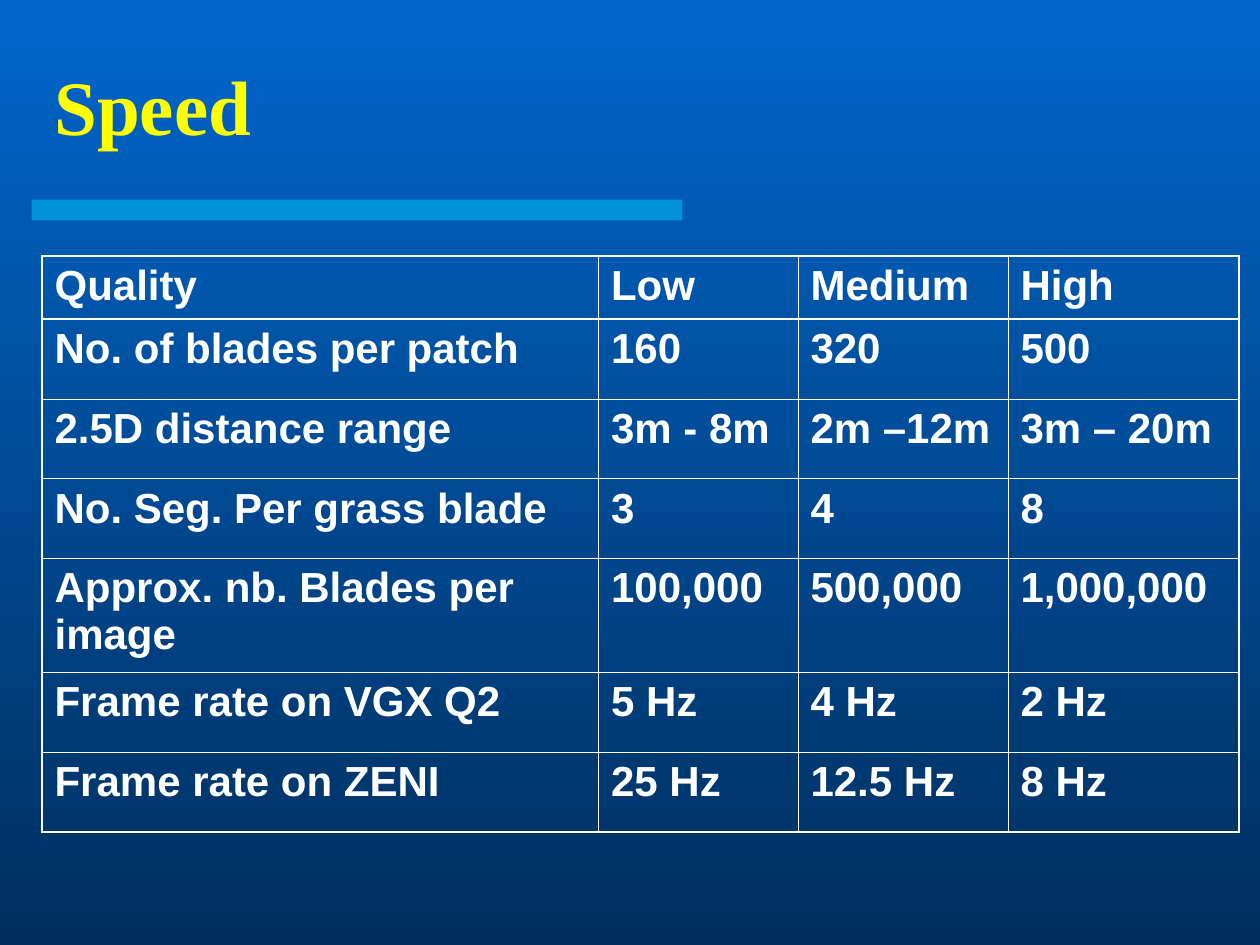
from dataclasses import dataclass

from lxml import etree
from pptx import Presentation
from pptx.dml.color import RGBColor
from pptx.enum.shapes import MSO_SHAPE
from pptx.enum.text import MSO_ANCHOR
from pptx.oxml.ns import qn
from pptx.util import Pt

RECT = MSO_SHAPE.RECTANGLE
MIDDLE = MSO_ANCHOR.MIDDLE
WHITE, YELLOW, CYAN = "FFFFFF", "FFFF00", "00CCFF"
BG_TOP, BG_BOTTOM = "0066CC", "002F5E"
THIN, THICK = 0.45, 1.08
COL_WIDTHS = (318, 114, 120, 132)


@dataclass
class Row:
    label: str
    low: str
    medium: str
    high: str
    height: float = 45.6

    def texts(self) -> tuple[str, ...]:
        return self.label, self.low, self.medium, self.high


ROWS = [
    Row("Quality", "Low", "Medium", "High", 36),
    Row("No. of blades per patch", "160", "320", "500"),
    Row("2.5D distance range", "3m - 8m", "2m –12m", "3m – 20m"),
    Row("No. Seg. Per grass blade", "3", "4", "8"),
    Row("Approx. nb. Blades per image", "100,000", "500,000", "1,000,000", 65),
    Row("Frame rate on VGX Q2", "5 Hz", "4 Hz", "2 Hz"),
    Row("Frame rate on ZENI", "25 Hz", "12.5 Hz", "8 Hz"),
]


def rgb(value: str) -> RGBColor:
    return RGBColor.from_string(value)


def write(tf, text: str, *, font="Arial", size=24, color=WHITE, before=0) -> None:
    p = tf.paragraphs[0]
    p.space_before = Pt(before)
    r = p.add_run()
    r.text = text
    r.font.name = font
    r.font.size = Pt(size)
    r.font.bold = True
    r.font.color.rgb = rgb(color)


def add_border(cell, side: str, width: float) -> None:
    ln = etree.SubElement(cell._tc.get_or_add_tcPr(), qn(f"a:ln{side}"), w=str(Pt(width)))
    fill = etree.SubElement(ln, qn("a:solidFill"))
    etree.SubElement(fill, qn("a:srgbClr"), val=WHITE)


def add_background(s) -> None:
    fill = s.background.fill
    fill.gradient()
    fill.gradient_angle = 270
    for stop, color in zip(fill.gradient_stops, (BG_TOP, BG_BOTTOM)):
        stop.color.rgb = rgb(color)


def add_bar(s) -> None:
    sp = s.shapes.add_shape(RECT, Pt(18), Pt(114), Pt(372), Pt(12))
    sp.shadow.inherit = False
    sp.line.fill.background()
    sp.fill.solid()
    sp.fill.fore_color.rgb = rgb(CYAN)
    color = sp._element.spPr.find(f"{qn('a:solidFill')}/{qn('a:srgbClr')}")
    etree.SubElement(color, qn("a:alpha"), val="50000")


def add_title(s) -> None:
    tf = s.shapes.add_textbox(Pt(24), Pt(30), Pt(612), Pt(60)).text_frame
    tf.word_wrap = True
    tf.vertical_anchor = MIDDLE
    write(tf, "Speed", font="Times New Roman", size=44, color=YELLOW)


def add_speed_table(s, rows: list[Row]) -> None:
    height = sum(row.height for row in rows)
    frame = s.shapes.add_table(len(rows), len(COL_WIDTHS), Pt(24), Pt(146.4),
                               Pt(sum(COL_WIDTHS)), Pt(height))
    table = frame.table
    table.first_row = table.horz_banding = False
    for column, width in zip(table.columns, COL_WIDTHS):
        column.width = Pt(width)
    last_row, last_col = len(rows) - 1, len(COL_WIDTHS) - 1
    for i, row in enumerate(rows):
        table.rows[i].height = Pt(row.height)
        for j, text in enumerate(row.texts()):
            cell = table.cell(i, j)
            thick = {"L": j == 0, "R": j == last_col, "T": i <= 1, "B": i in (0, last_row)}
            for side, is_thick in thick.items():
                add_border(cell, side, THICK if is_thick else THIN)
            cell.fill.background()
            write(cell.text_frame, text, before=6)


def main() -> None:
    """Build the slide on rendering speed by quality level."""
    prs = Presentation()
    prs.slide_width, prs.slide_height = Pt(720), Pt(540)
    s = prs.slides.add_slide(prs.slide_layouts[6])
    add_background(s)
    add_bar(s)
    add_title(s)
    add_speed_table(s, ROWS)
    prs.save("out.pptx")


if __name__ == "__main__":
    main()
